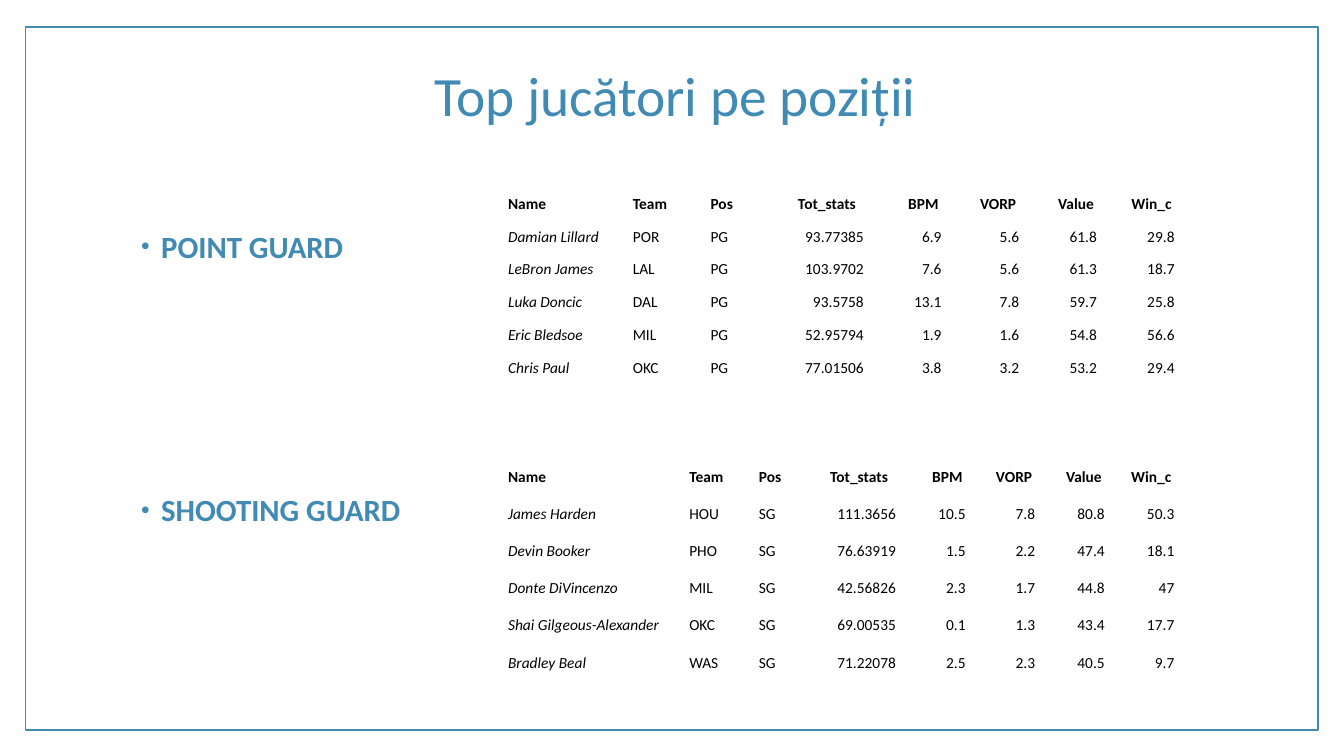
from dataclasses import dataclass

import pptx
import pptx.dml.color
import pptx.enum.shapes
import pptx.enum.text
import pptx.oxml
import pptx.oxml.ns
import pptx.util
from lxml import etree

Inches, Pt = pptx.util.Inches, pptx.util.Pt
ALIGN = pptx.enum.text.PP_ALIGN
ANCHOR = pptx.enum.text.MSO_ANCHOR

COLORS = {"accent": "418AB3", "text": "000000", "paper": "FFFFFF"}
FONT = "Calibri"
SLIDE_W, SLIDE_H = Inches(13.33), Inches(7.5)
HEADERS = ["Name", "Team", "Pos", "Tot_stats", "BPM", "VORP", "Value", "Win_c"]
FIRST_NUMBER = HEADERS.index("Tot_stats")


@dataclass
class Box:
    """Left, top, width and height in percent of the slide."""
    x: float
    y: float
    w: float
    h: float

    def emu(self) -> tuple[int, int, int, int]:
        return (across(self.x), down(self.y), across(self.w), down(self.h))


@dataclass
class Ranking:
    position: str
    space_before: float
    box: Box
    stat_width: float
    players: list[str]


FRAME = Box(1.88, 3.6, 96.17, 92.93)
TITLE = Box(10.05, 8.93, 80.35, 8.13)
POSITIONS = Box(9.38, 30, 81, 58.93)
RANKINGS = [
    Ranking("POINT GUARD", 0, Box(37.73, 23.87, 49.74, 26.13), 5.78, [
        "Damian Lillard|POR|PG|93.77385|6.9|5.6|61.8|29.8",
        "LeBron James|LAL|PG|103.9702|7.6|5.6|61.3|18.7",
        "Luka Doncic|DAL|PG|93.5758|13.1|7.8|59.7|25.8",
        "Eric Bledsoe|MIL|PG|52.95794|1.9|1.6|54.8|56.6",
        "Chris Paul|OKC|PG|77.01506|3.8|3.2|53.2|29.4",
    ]),
    Ranking("SHOOTING GUARD", 164.5, Box(37.73, 59.47, 49.74, 29.47), 5.18, [
        "James Harden|HOU|SG|111.3656|10.5|7.8|80.8|50.3",
        "Devin Booker|PHO|SG|76.63919|1.5|2.2|47.4|18.1",
        "Donte DiVincenzo|MIL|SG|42.56826|2.3|1.7|44.8|47",
        "Shai Gilgeous-Alexander|OKC|SG|69.00535|0.1|1.3|43.4|17.7",
        "Bradley Beal|WAS|SG|71.22078|2.5|2.3|40.5|9.7",
    ]),
]


def across(percent: float) -> int:
    return round(SLIDE_W * percent / 100)


def down(percent: float) -> int:
    return round(SLIDE_H * percent / 100)


def rgb(name: str) -> pptx.dml.color.RGBColor:
    return pptx.dml.color.RGBColor.from_string(COLORS[name])


def add_run(p, text: str, size: float, color: str,
            bold: bool = False, italic: bool = False) -> None:
    r = p.add_run()
    r.text = text
    r.font.name, r.font.size = FONT, Pt(size)
    r.font.bold, r.font.italic = bold, italic
    r.font.color.rgb = rgb(color)


def add_bullet(p) -> None:
    pPr = p._p.get_or_add_pPr()
    pPr.set("marL", str(Inches(0.25)))
    pPr.set("indent", str(Inches(-0.2)))
    qn = pptx.oxml.ns.qn
    clr = etree.SubElement(pPr, qn("a:buClr"))
    etree.SubElement(clr, qn("a:srgbClr"), val=COLORS["accent"])
    etree.SubElement(pPr, qn("a:buSzPct"), val="80000")
    etree.SubElement(pPr, qn("a:buFont"), typeface="Arial")
    etree.SubElement(pPr, qn("a:buChar"), char="•")


def add_frame(slide) -> None:
    """Draw the page border behind everything else."""
    sp = slide.shapes.add_shape(
        pptx.enum.shapes.MSO_SHAPE.RECTANGLE, *FRAME.emu())
    sp.shadow.inherit = False
    sp.fill.solid()
    sp.fill.fore_color.rgb = rgb("paper")
    sp.line.color.rgb = rgb("accent")
    sp.line.width = Pt(1.1)
    slide.shapes._spTree.insert(2, sp._element)


def fill_title(slide, text: str) -> None:
    sp = slide.shapes.title
    sp.left, sp.top, sp.width, sp.height = TITLE.emu()
    tf = sp.text_frame
    tf.word_wrap = True
    tf.vertical_anchor = ANCHOR.MIDDLE
    p = tf.paragraphs[0]
    p.alignment, p.line_spacing = ALIGN.CENTER, 0.9
    add_run(p, text, 39.6, "accent")


def add_positions(slide, rankings: list[Ranking]) -> None:
    tf = slide.shapes.add_textbox(*POSITIONS.emu()).text_frame
    tf.word_wrap = True
    for i, ranking in enumerate(rankings):
        p = tf.add_paragraph() if i else tf.paragraphs[0]
        p.line_spacing = 0.9
        p.space_before = Pt(ranking.space_before)
        add_bullet(p)
        add_run(p, ranking.position, 22, "accent", bold=True)


def fill_cell(cell, text: str, row: int, col: int) -> None:
    is_header, is_number = row == 0, col >= FIRST_NUMBER
    cell.fill.background()
    cell.vertical_anchor = ANCHOR.BOTTOM
    cell.margin_left = cell.margin_top = cell.margin_right = Inches(0.01)
    cell.margin_bottom = 0
    if is_header and is_number:
        cell.margin_left = 0
        cell.margin_right = Inches(0.09 if col == FIRST_NUMBER else 0.04)
    p = cell.text_frame.paragraphs[0]
    p.alignment = ALIGN.RIGHT if is_number else ALIGN.LEFT
    add_run(p, text, 11, "text", bold=is_header,
            italic=col == 0 and not is_header)


def add_ranking(slide, ranking: Ranking) -> None:
    rows = [HEADERS] + [player.split("|") for player in ranking.players]
    table = slide.shapes.add_table(
        len(rows), len(HEADERS), *ranking.box.emu()).table
    table.first_row = table.horz_banding = False
    name_width = ranking.box.w - ranking.stat_width * (len(HEADERS) - 1)
    for c, column in enumerate(table.columns):
        column.width = across(ranking.stat_width if c else name_width)
    for r, values in enumerate(rows):
        for c, value in enumerate(values):
            fill_cell(table.cell(r, c), value, r, c)


def main() -> None:
    prs = pptx.Presentation()
    prs.slide_width, prs.slide_height = SLIDE_W, SLIDE_H
    slide = prs.slides.add_slide(prs.slide_layouts.get_by_name("Title Only"))
    add_frame(slide)
    fill_title(slide, "Top jucători pe poziții")
    add_positions(slide, RANKINGS)
    for ranking in RANKINGS:
        add_ranking(slide, ranking)
    prs.save("out.pptx")


if __name__ == "__main__":
    main()
